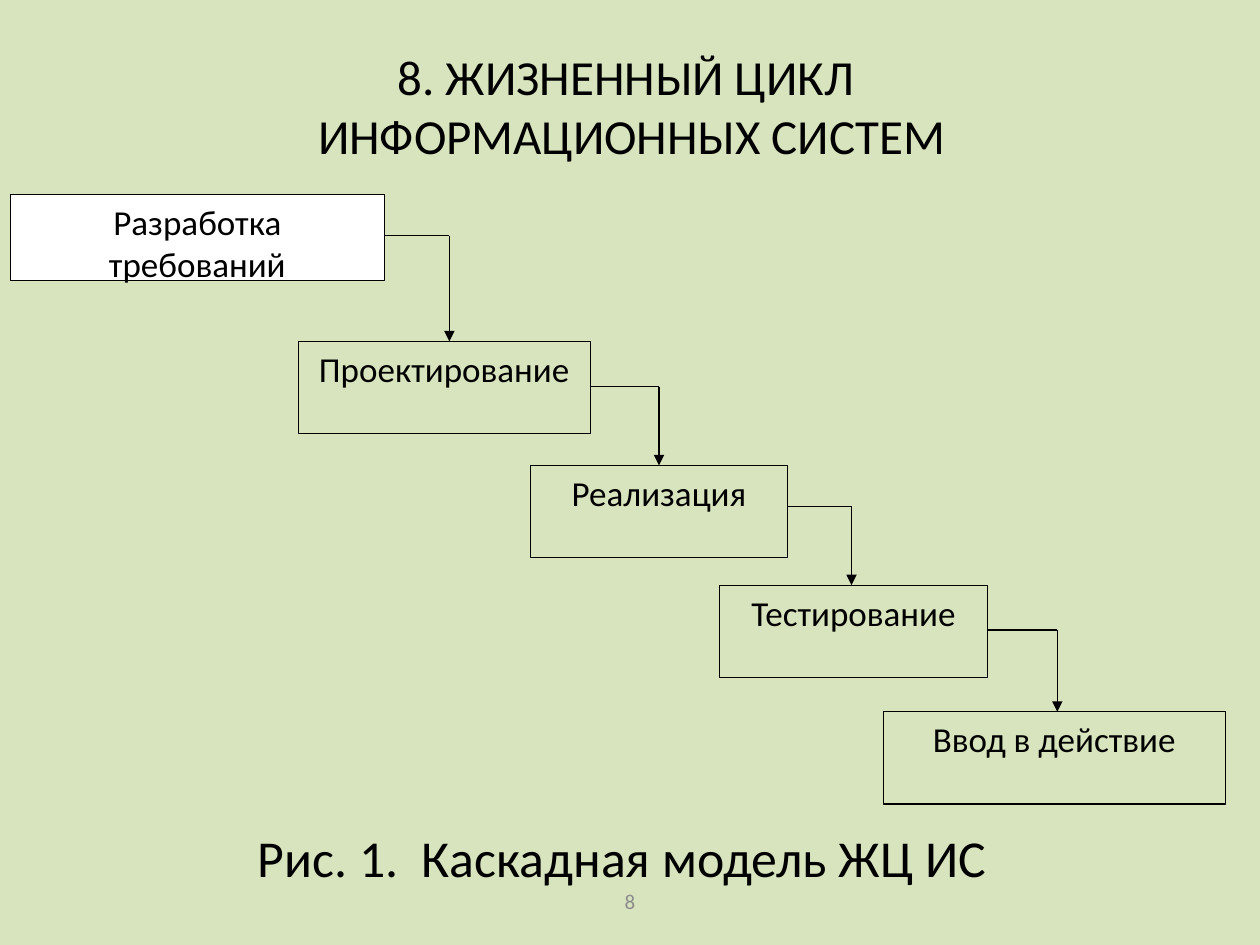
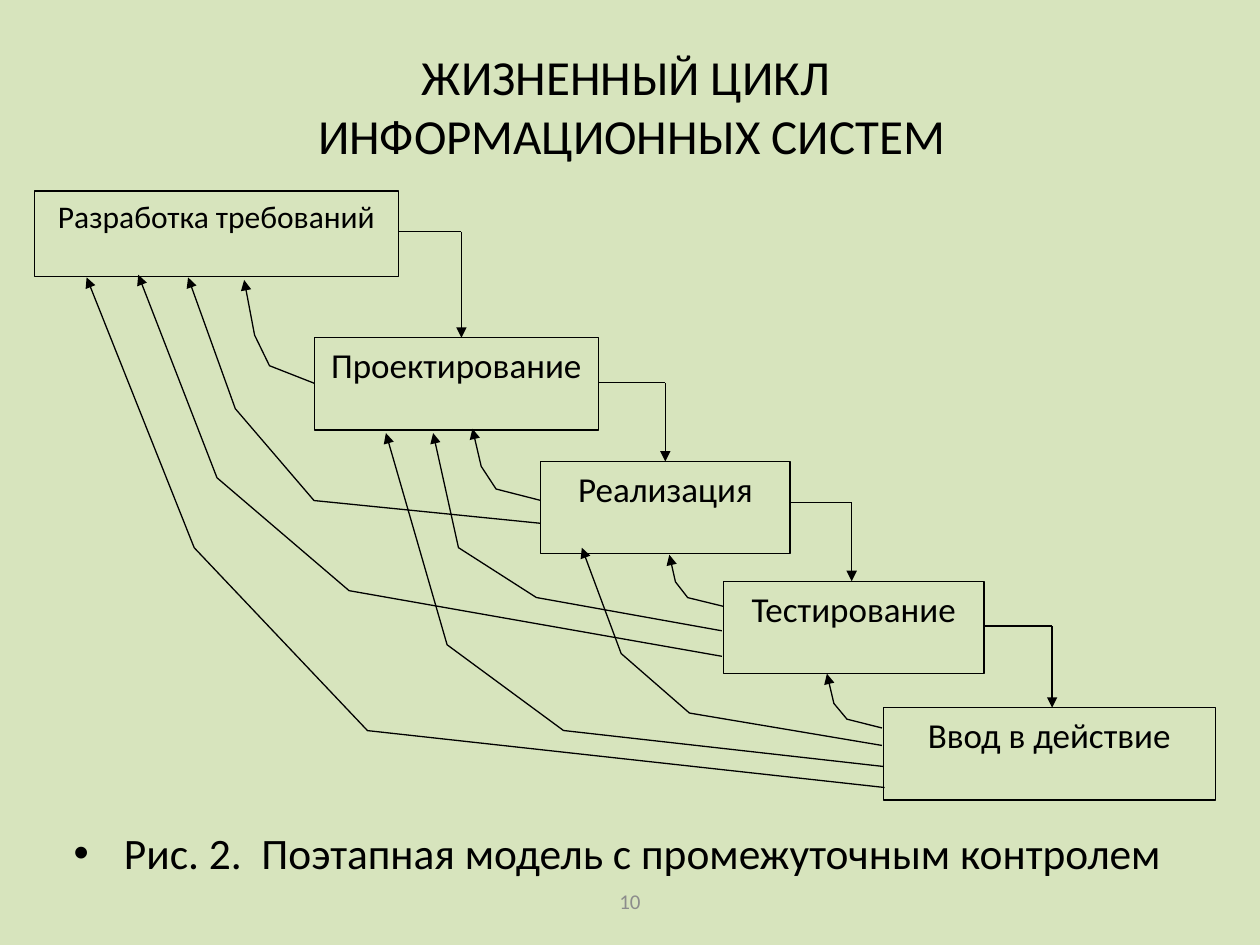
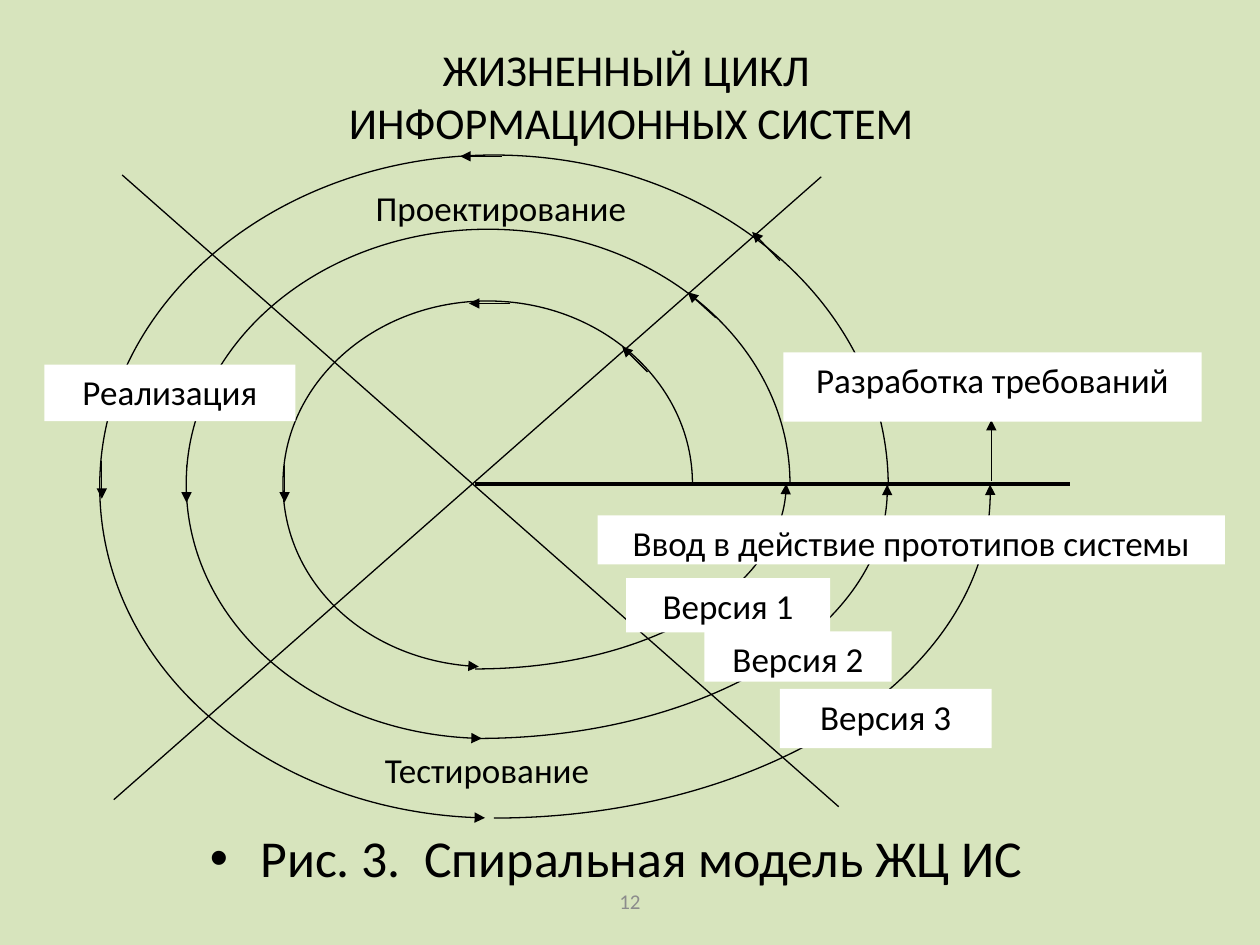
"""Builds three slides on cascade, staged and spiral life-cycle models."""
from dataclasses import dataclass
from itertools import pairwise
from math import ceil, cos, radians, sin, tan
from typing import NamedTuple

from lxml import etree
from pptx import Presentation
from pptx import util as u
from pptx.dml.color import RGBColor
from pptx.enum import shapes, text
from pptx.oxml import ns


@dataclass(frozen=True)
class Theme:
    font: str = "Calibri"
    ink: str = "000000"
    paper: str = "D7E4BD"
    panel: str = "FFFFFF"
    muted: str = "8C8C8C"
    title_size: float = 28
    small_title_size: float = 25.2
    caption_size: float = 29.6
    long_caption_size: float = 24.8
    label_size: float = 20
    small_label_size: float = 18
    page_size: float = 12
    thin: float = 0.75
    thick: float = 2.25
    bullet_indent: float = 28.8


THEME = Theme()


class Point(NamedTuple):
    x: float
    y: float


class Box(NamedTuple):
    left: float
    top: float
    width: float
    height: float


class Label(NamedTuple):
    text: str
    box: Box
    fill: str | None = None
    line: str | None = None
    size: float = THEME.label_size


class Turn(NamedTuple):
    center: Point
    radii: Point
    start: int
    end: float


class Stroke(NamedTuple):
    start: Point
    end: Point
    arrow: bool = True
    width: float = THEME.thin


TITLE = "ЖИЗНЕННЫЙ ЦИКЛ \nИНФОРМАЦИОННЫХ СИСТЕМ"
TITLE_BOX = Box(36.8, 20.5, 648, 79.2)
SHORT_TITLE_BOX = Box(36.8, 20.2, 648, 68.4)
CAPTION_BOX = Box(31, 468.5, 649.5, 39.5)
PAGE_BOX = Box(246, 500.5, 228, 29)


def stage(name: str, left: float, top: float, width: float, height: float = 52.8,
          fill: str | None = None, size: float = THEME.label_size) -> Label:
    return Label(name, Box(left, top, width, height), fill, THEME.ink, size)


def panel(name: str, *box: float) -> Label:
    return Label(name, Box(*box), THEME.panel)


CASCADE_STAGES = [
    stage("Разработка требований", 5.8, 111.3, 214, 49, fill=THEME.panel),
    stage("Проектирование", 170.4, 195.1, 167),
    stage("Реализация", 303.1, 265.9, 147),
    stage("Тестирование", 411.1, 334.4, 153.4),
    stage("Ввод в действие", 504.8, 406.7, 195.4),
]
CASCADE_CORNERS = [Point(256.8, 134.6), Point(376.6, 221), Point(486.6, 289.4), Point(604.2, 360)]

STAGED_STAGES = [
    stage("Разработка требований", 19.7, 109.2, 208, 49, size=THEME.small_label_size),
    stage("Проектирование", 179.6, 193, 162.4),
    stage("Реализация", 309, 263.7, 142.5),
    stage("Тестирование", 413.4, 332.1, 149),
    stage("Ввод в действие", 504.8, 404.4, 189.6),
]
STAGED_CORNERS = [Point(263.7, 132.3), Point(380.2, 218.7), Point(486.7, 287.2), Point(601.2, 357.7)]
FEEDBACKS = [
    [(309, 299), (179.5, 286), (134.5, 233.5), (107.5, 158.5)],
    [(412.5, 375), (199.5, 337.5), (124, 273), (79, 157)],
    [(179.5, 219), (154, 209), (145.5, 191.5), (139.5, 160)],
    [(505.5, 450), (210, 417.5), (111, 313), (49.5, 158.5)],
    [(412.5, 360.5), (306.5, 341.5), (262, 313), (247.5, 247.5)],
    [(504.5, 438), (322, 417.5), (255.5, 368.5), (220.5, 247.5)],
    [(309, 286), (283.5, 279.5), (275, 266.5), (270, 245)],
    [(413.5, 346.5), (393, 341.5), (386, 332.5), (382.5, 317)],
    [(504, 416), (484, 411), (476.5, 402), (472.5, 385)],
    [(504, 426), (394, 407.5), (355, 373.5), (332.5, 313)],
]

SPIRAL_TURNS = [
    Turn(Point(278.7, 276.5), Point(117, 104.5), 360, 92.5),
    Turn(Point(278.9, 276.5), Point(172.5, 145.5), 360, 91.2),
    Turn(Point(282.3, 278), Point(225.3, 189.4), 360, 91.3),
    Turn(Point(271.5, 276.5), Point(177.8, 105.8), 90, 0),
    Turn(Point(273, 280), Point(234, 142), 90, -1.2),
    Turn(Point(282.2, 281.5), Point(283.7, 186), 90, -1.4),
]
SPIRAL_STROKES = [
    Stroke(Point(271.5, 276.5), Point(611.5, 276.5), False, THEME.thick),
    Stroke(Point(65, 457), Point(469.3, 101), False),
    Stroke(Point(479.3, 461), Point(69.8, 100), False),
    Stroke(Point(566.5, 275), Point(566.5, 240)),
    Stroke(Point(370, 212.5), Point(355.5, 198)),
    Stroke(Point(409, 181.5), Point(393, 167)),
    Stroke(Point(445.7, 149), Point(429.8, 132.5)),
    Stroke(Point(286.6, 89.3), Point(263, 89.3)),
    Stroke(Point(58.2, 263.5), Point(58.2, 285)),
    Stroke(Point(106.6, 265.6), Point(106.6, 287.2)),
    Stroke(Point(162.6, 265.6), Point(162.6, 287.2)),
    Stroke(Point(291.6, 173.4), Point(268, 173.4)),
]
SPIRAL_LABELS = [
    Label("Проектирование", Box(195.3, 102.8, 182, 31.6)),
    Label("Тестирование", Box(188.4, 424, 180, 34.5)),
    panel("Реализация", 25.4, 208.3, 143.4, 32.4),
    panel("Версия 1", 357.8, 330.4, 116.6, 31),
    panel("Версия 2", 402.5, 360.8, 107, 28.8),
    panel("Версия 3", 445.6, 393.7, 121, 33.8),
    panel("Разработка требований", 447.7, 201.4, 239, 39.5),
    panel("Ввод в действие прототипов системы", 341.5, 294.5, 358.5, 28),
]


def write(shape, content: str, *, size: float, color: str = THEME.ink,
          anchor=text.MSO_ANCHOR.TOP, bullet: bool = False) -> None:
    frame = shape.text_frame
    frame.word_wrap = True
    frame.vertical_anchor = anchor
    paragraph = frame.paragraphs[0]
    paragraph.text = content
    paragraph.alignment = text.PP_ALIGN.CENTER
    for run in paragraph.runs:
        run.font.name = THEME.font
        run.font.size = u.Pt(size)
        run.font.color.rgb = RGBColor.from_string(color)
    if bullet:
        properties = paragraph._p.get_or_add_pPr()
        properties.set("marL", str(u.Pt(THEME.bullet_indent)))
        properties.set("indent", str(-u.Pt(THEME.bullet_indent)))
        etree.SubElement(properties, ns.qn("a:buFont"), typeface="Arial")
        etree.SubElement(properties, ns.qn("a:buChar"), char="•")


def add_text(slide, content: str, box: Box, **style) -> None:
    write(slide.shapes.add_textbox(*map(u.Pt, box)), content, **style)


def outline(shape, arrow: bool = False, width: float = THEME.thin) -> None:
    shape.line.color.rgb = RGBColor.from_string(THEME.ink)
    shape.line.width = u.Pt(width)
    if arrow:
        line = shape.element.spPr.find(ns.qn("a:ln"))
        etree.SubElement(line, ns.qn("a:tailEnd"), type="triangle")


def draw_label(slide, label: Label) -> None:
    if not (label.fill or label.line):
        add_text(slide, label.text, label.box, size=label.size)
        return
    block = slide.shapes.add_shape(shapes.MSO_SHAPE.RECTANGLE, *map(u.Pt, label.box))
    block.shadow.inherit = False
    if label.fill:
        block.fill.solid()
        block.fill.fore_color.rgb = RGBColor.from_string(label.fill)
    else:
        block.fill.background()
    if label.line:
        outline(block)
    else:
        block.line.fill.background()
    write(block, label.text, size=label.size)


def draw_stroke(slide, stroke: Stroke) -> None:
    ends = map(u.Pt, (*stroke.start, *stroke.end))
    connector = slide.shapes.add_connector(shapes.MSO_CONNECTOR.STRAIGHT, *ends)
    outline(connector, stroke.arrow, stroke.width)
    etree.SubElement(connector.element.spPr, ns.qn("a:effectLst"))


def draw_route(slide, points: list[tuple[float, float]]):
    start, *rest = [(u.Pt(x), u.Pt(y)) for x, y in points]
    builder = slide.shapes.build_freeform(*start)
    builder.add_line_segments(rest, close=False)
    route = builder.convert_to_shape()
    route.shadow.inherit = False
    route.fill.background()
    outline(route, arrow=True)
    return route


def draw_turn(slide, turn: Turn) -> None:
    (cx, cy), (rx, ry) = turn.center, turn.radii
    angles = [radians(a) for a in (*range(turn.start, ceil(turn.end), -90), turn.end)]
    knots = [Point(cx + rx * cos(a), cy + ry * sin(a)) for a in angles]
    route = draw_route(slide, knots)
    segments = list(route.element.iter(ns.qn("a:lnTo")))
    for segment, (a, b), (p, q) in zip(segments, pairwise(angles), pairwise(knots)):
        pull = 4 / 3 * tan((b - a) / 4)
        handles = (Point(p.x - pull * rx * sin(a), p.y + pull * ry * cos(a)),
                   Point(q.x + pull * rx * sin(b), q.y - pull * ry * cos(b)), q)
        curve = etree.Element(ns.qn("a:cubicBezTo"))
        for x, y in handles:
            etree.SubElement(curve, ns.qn("a:pt"),
                             x=str(u.Pt(x) - route.left), y=str(u.Pt(y) - route.top))
        segment.getparent().replace(segment, curve)


def draw_stages(slide, stages: list[Label], corners: list[Point]) -> None:
    for item in stages:
        draw_label(slide, item)
    for (current, following), corner in zip(pairwise(stages), corners):
        right = current.box.left + current.box.width
        draw_stroke(slide, Stroke(Point(right, corner.y), corner, arrow=False))
        draw_stroke(slide, Stroke(corner, Point(corner.x, following.box.top)))


def start_slide(deck, page: str, caption: str, *, title: str = TITLE,
                title_box: Box = TITLE_BOX, title_size: float = THEME.title_size,
                caption_size: float = THEME.caption_size, bullet: bool = True):
    slide = deck.slides.add_slide(deck.slide_layouts[6])
    middle = text.MSO_ANCHOR.MIDDLE
    add_text(slide, page, PAGE_BOX, size=THEME.page_size, color=THEME.muted, anchor=middle)
    add_text(slide, caption, CAPTION_BOX, size=caption_size, bullet=bullet)
    add_text(slide, title, title_box, size=title_size, anchor=middle)
    return slide


def main() -> None:
    deck = Presentation()
    deck.slide_width, deck.slide_height = u.Pt(720), u.Pt(540)
    background = deck.slide_master.background.fill
    background.solid()
    background.fore_color.rgb = RGBColor.from_string(THEME.paper)

    cascade = start_slide(deck, "8", "Рис. 1.  Каскадная модель ЖЦ ИС",
                          title=f"8. {TITLE}", bullet=False)
    draw_stages(cascade, CASCADE_STAGES, CASCADE_CORNERS)

    staged = start_slide(deck, "10", "Рис. 2.  Поэтапная модель с промежуточным контролем ",
                         caption_size=THEME.long_caption_size)
    draw_stages(staged, STAGED_STAGES, STAGED_CORNERS)
    for feedback in FEEDBACKS:
        draw_route(staged, feedback)

    spiral = start_slide(deck, "12", "Рис. 3.  Спиральная модель ЖЦ ИС ",
                         title_box=SHORT_TITLE_BOX, title_size=THEME.small_title_size)
    for turn in SPIRAL_TURNS:
        draw_turn(spiral, turn)
    for stroke in SPIRAL_STROKES:
        draw_stroke(spiral, stroke)
    for label in SPIRAL_LABELS:
        draw_label(spiral, label)

    deck.save("out.pptx")


if __name__ == "__main__":
    main()
